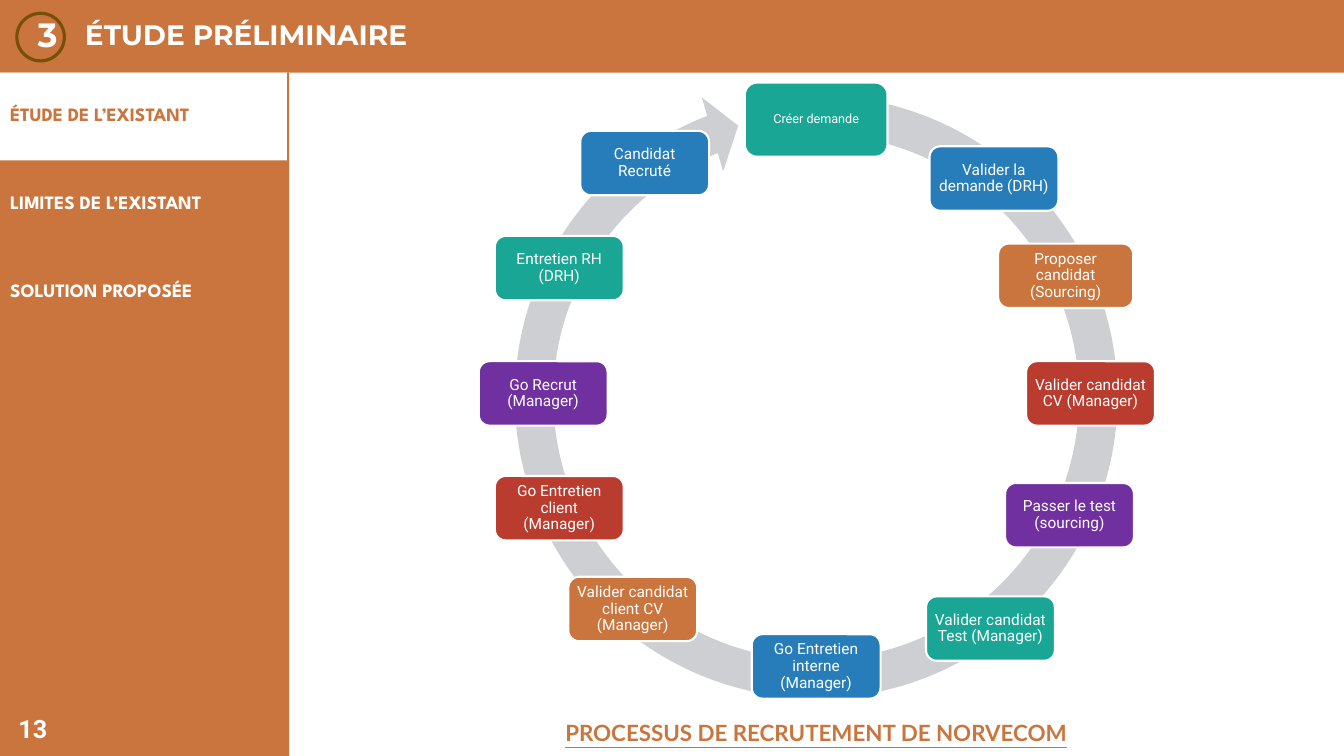
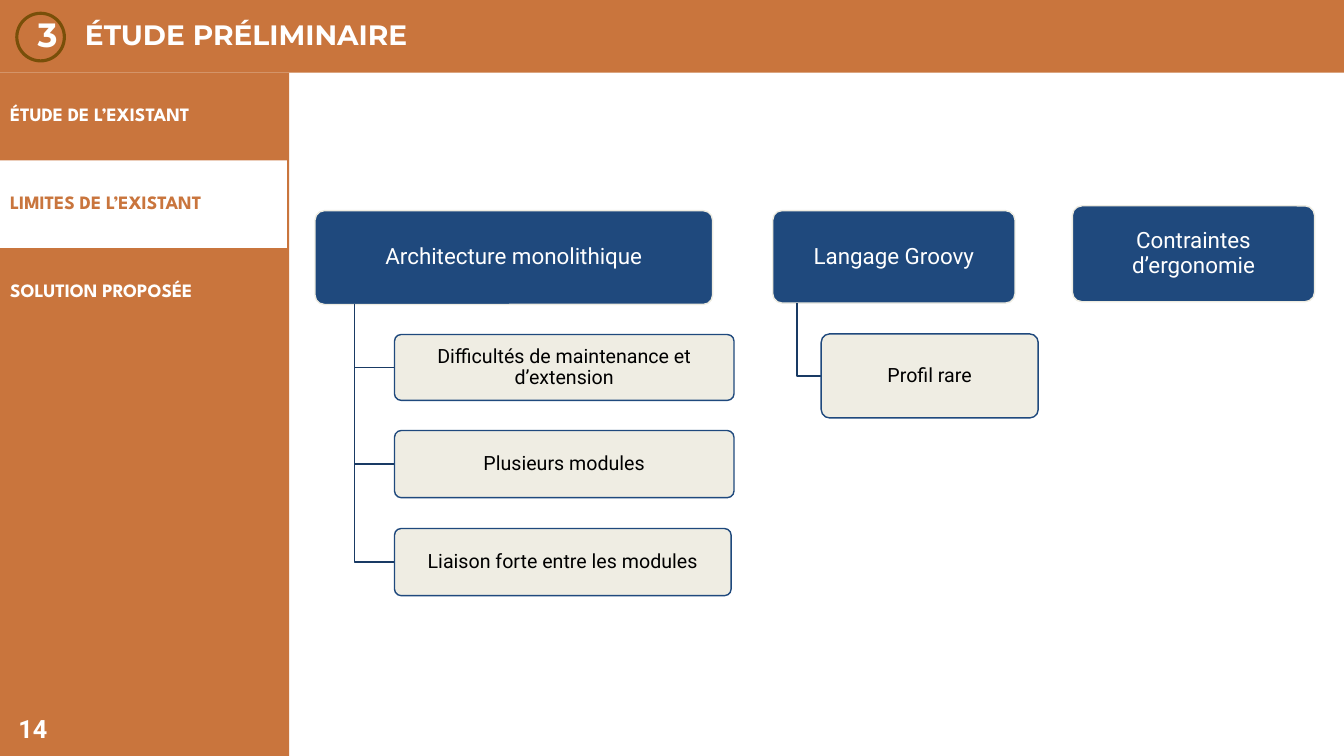
"""Build two slides of a preliminary study: a recruitment cycle and its limits."""
import lxml.etree
import pptx
import pptx.dml.color
import pptx.enum.shapes
import pptx.enum.text
import pptx.oxml.ns
import pptx.util

Pt = pptx.util.Pt
Kind = pptx.enum.shapes.MSO_SHAPE
Align = pptx.enum.text.PP_ALIGN
Anchor = pptx.enum.text.MSO_ANCHOR
qn = pptx.oxml.ns.qn

hues = {
    "orange": "C9753D", "white": "FFFFFF", "black": "000000", "brown": "784F09",
    "gray": "CECFD2", "teal": "19A695", "blue": "277DBA", "red": "BA3C2E",
    "purple": "7030A0", "navy": "1F497D", "ink": "193A64", "cream": "EEECE1",
}
rgb = {name: pptx.dml.color.RGBColor.from_string(code) for name, code in hues.items()}


def draw(page, kind, spot, fill, line=None, weight=1):
    shape = page.shapes.add_shape(kind, *[Pt(n) for n in spot])
    shape.shadow.inherit = False
    shape.fill.solid()
    shape.fill.fore_color.rgb = rgb[fill]
    if line:
        shape.line.color.rgb = rgb[line]
        shape.line.width = Pt(weight)
    else:
        shape.line.fill.background()
    return shape


def write(shape, text, size, face="Roboto", hue="white", bold=False,
          align=Align.CENTER, anchor=Anchor.MIDDLE, pad=(7.2, 3.6)):
    frame = shape.text_frame
    frame.text = text
    frame.word_wrap = True
    frame.auto_size = pptx.enum.text.MSO_AUTO_SIZE.NONE
    frame.vertical_anchor = anchor
    frame.margin_left = frame.margin_right = Pt(pad[0])
    frame.margin_top = frame.margin_bottom = Pt(pad[1])
    for para in frame.paragraphs:
        para.alignment = align
        para.line_spacing = 0.9
        para.space_before = Pt(0)
        props = para._p.get_or_add_pPr()
        props.set("marL", "0")
        props.set("indent", "0")
        lxml.etree.SubElement(props, qn("a:buNone"))
        para.font.size = Pt(size)
        para.font.name = face
        para.font.bold = bold
        para.font.color.rgb = rgb[hue]
    return frame


deck = pptx.Presentation()
deck.slide_width, deck.slide_height = Pt(960), Pt(540)

top, side, step = 52, 205, 62.6
menu = ["ÉTUDE DE L’EXISTANT", "LIMITES DE L’EXISTANT", "SOLUTION PROPOSÉE"]
pages = []
for index in range(2):
    page = deck.slides.add_slide(deck.slide_layouts[1])
    pages.append(page)
    draw(page, Kind.RECTANGLE, (0, 0, 960, top), "orange")
    draw(page, Kind.RECTANGLE, (0, top, 206.5, 540 - top), "orange")
    draw(page, Kind.RECTANGLE, (0, top + index * step, side, step), "white")
    draw(page, Kind.OVAL, (12, 9.5, 34, 34), "orange", "brown", 2.25)

    title, body = page.shapes.title, page.placeholders[1]
    spots = [(title, (53.5, 10.5, 906.5, 30.5)), (body, (0, top, side, 3 * step))]
    for holder, spot in spots:
        holder.left, holder.top, holder.width, holder.height = [Pt(n) for n in spot]
        holder.element.getparent().append(holder.element)
    write(title, "ÉTUDE PRÉLIMINAIRE", 20, "Montserrat", bold=True, align=Align.LEFT)
    frame = write(body, "\n".join(menu), 13.5, "League Spartan", bold=True, align=Align.LEFT)
    for place, para in enumerate(frame.paragraphs):
        para.line_spacing = Pt(13)
        para.space_before = Pt(step - 13 if place else 0)
        if place == index:
            para.font.color.rgb = rgb["orange"]

    badge = page.shapes.add_textbox(Pt(22), Pt(11), Pt(24), Pt(30))
    write(badge, "3", 24, "Montserrat", bold=True, pad=(0, 0))
    count = page.shapes.add_textbox(Pt(6), Pt(507.5), Pt(75.5), Pt(29))
    write(count, str(13 + index), 18, bold=True, align=Align.LEFT)

cycle, limits = pages

ring = draw(cycle, Kind.CIRCULAR_ARROW, (354, 54.5, 458, 458), "gray")
for place, value in enumerate([0.06, 3.31, 149.07, 167.3, 0.06]):
    ring.adjustments[place] = value

tones = ["teal", "blue", "orange", "red", "purple"]
steps = [
    ("Créer demande", 532, 59),
    ("Valider la demande (DRH)", 664, 104.5),
    ("Proposer candidat (Sourcing)", 713, 174),
    ("Valider candidat CV (Manager)", 733, 258),
    ("Passer le test (sourcing)", 718, 345),
    ("Valider candidat Test (Manager)", 661.5, 426),
    ("Go Entretien interne (Manager)", 537, 453),
    ("Valider candidat client CV (Manager)", 406, 412),
    ("Go Entretien client (Manager)", 353.5, 340),
    ("Go Recrut (Manager)", 342, 258),
    ("Entretien RH (DRH)", 353.5, 168.5),
    ("Candidat Recruté", 414.5, 93.5),
]
sizes = {0: (102, 53), 2: (96.5, 46)}
for place, (text, left, high) in enumerate(steps):
    spot = (left, high, *sizes.get(place, (92, 46)))
    card = draw(cycle, Kind.ROUNDED_RECTANGLE, spot, tones[place % 5], "white", 1.5)
    write(card, text, 11 if place else 9, pad=(3.6, 3.6))

label = cycle.shapes.add_textbox(Pt(side), Pt(512.5), Pt(756), Pt(27.5))
frame = write(label, "PROCESSUS DE RECRUTEMENT DE NORVECOM", 16, "Lato", "orange",
              bold=True, anchor=Anchor.TOP)
frame.paragraphs[0].font.underline = True

trees = [
    ("Architecture monolithique", (225, 150.5, 284, 67), [
        ("Difficultés de maintenance et d’extension", 239, 242.5, 47),
        ("Plusieurs modules", 307.5, 242.5, 48),
        ("Liaison forte entre les modules", 377.5, 240.5, 48),
    ]),
    ("Langage Groovy", (552, 150.5, 173, 66), [("Profil rare", 238.5, 155, 60)]),
    ("Contraintes d’ergonomie", (766, 147, 173, 68.5), []),
]
for text, spot, leaves in trees:
    left, high, width, height = spot
    root = draw(limits, Kind.ROUNDED_RECTANGLE, spot, "navy", "cream")
    root.adjustments[0] = 0.1
    write(root, text, 16, pad=(4, 2))
    trunk, edge = left + 0.1 * width, left + 0.2 * width
    for name, start, wide, tall in leaves:
        middle = start + tall / 2
        path = limits.shapes.build_freeform(Pt(trunk), Pt(high + height))
        path.add_line_segments(
            [(Pt(trunk), Pt(middle)), (Pt(edge), Pt(middle))], close=False)
        link = path.convert_to_shape()
        link.shadow.inherit = False
        link.fill.background()
        link.line.color.rgb = rgb["ink"]
        link.line.width = Pt(1)
        leaf = draw(limits, Kind.ROUNDED_RECTANGLE, (edge, start, wide, tall), "cream", "navy")
        leaf.adjustments[0] = 0.1
        paint = leaf.element.spPr.find(qn("a:solidFill")).find(qn("a:srgbClr"))
        lxml.etree.SubElement(paint, qn("a:alpha"), val="90000")
        write(leaf, name, 14, hue="black", pad=(3.5, 2))

deck.save("out.pptx")
